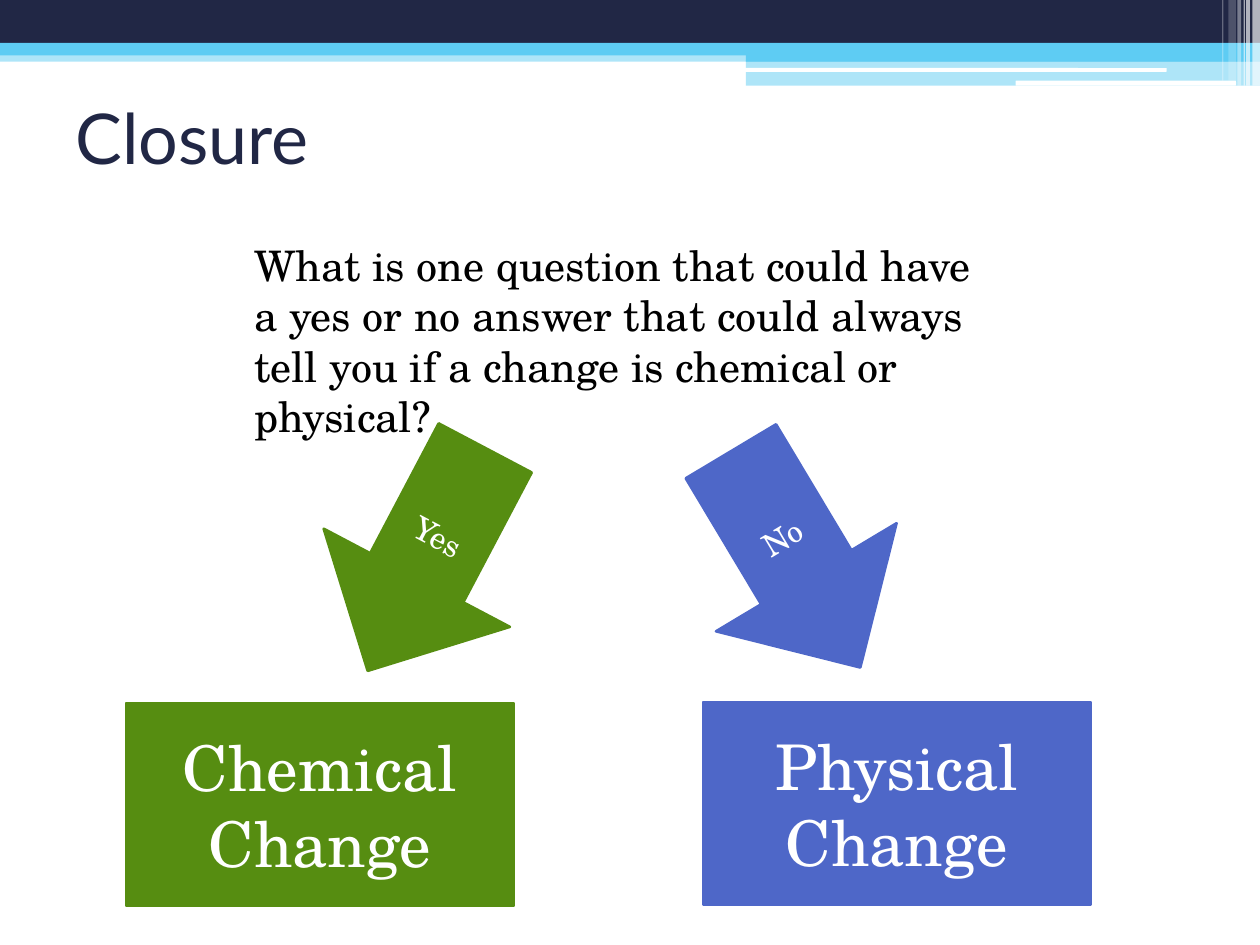
from lxml import etree
from pptx import Presentation
from pptx.dml.color import RGBColor
from pptx.enum.shapes import MSO_SHAPE
from pptx.enum.text import MSO_ANCHOR, PP_ALIGN
from pptx.oxml.ns import qn
from pptx.util import Inches, Pt

RECT = MSO_SHAPE.RECTANGLE
ROUND = MSO_SHAPE.ROUNDED_RECTANGLE
ARROW = MSO_SHAPE.DOWN_ARROW
MIDDLE, TOP = MSO_ANCHOR.MIDDLE, MSO_ANCHOR.TOP
LEFT, CENTER = PP_ALIGN.LEFT, PP_ALIGN.CENTER

COLS, ROWS = 10, 7.5
WIDTH, HEIGHT = Inches(COLS), Inches(ROWS)
SANS, SERIF = "Lato", "TeX Gyre Schola"
NAVY, SKY, WHITE, BLACK = "212745", "5ECCF3", "FFFFFF", "000000"
GREEN, BLUE = "568D11", "4E67C8"


def color(code):
    return RGBColor.from_string(code)


def grid(box):
    x, y, w, h = box
    return (round(WIDTH * x / COLS), round(HEIGHT * y / ROWS),
            round(WIDTH * w / COLS), round(HEIGHT * h / ROWS))


def within(box, x, y, w, h):
    return box[0] + x, box[1] + y, w, h


def write(shape, text, font=SERIF, size=24, ink=BLACK, align=LEFT, anchor=TOP):
    frame = shape.text_frame
    frame.word_wrap = True
    frame.vertical_anchor = anchor
    para = frame.paragraphs[0]
    para.alignment = align
    run = para.add_run()
    run.text = text
    run.font.name = font
    run.font.size = Pt(size)
    run.font.color.rgb = color(ink)


def draw(slide, kind, box, fill, alpha=100, line=0, turn=0):
    shape = slide.shapes.add_shape(kind, *grid(box))
    shape.shadow.inherit = False
    shape.rotation = turn
    shape.fill.solid()
    shape.fill.fore_color.rgb = color(fill)
    if alpha < 100:
        tint = shape.fill._xPr.find(qn("a:solidFill"))[0]
        etree.SubElement(tint, qn("a:alpha")).set("val", str(alpha * 1000))
    if line:
        shape.line.color.rgb = color(fill)
        shape.line.width = Pt(line)
    else:
        shape.line.fill.background()
    return shape


def banner(slide, box):
    wide, high = box[2:]
    half = 5.92
    bands = [
        (0, 0.4, wide, 0.09, SKY, 50),
        (0, 0, wide, 0.34, NAVY, 100),
        (0, 0.34, wide, 0.1, SKY, 100),
        (half, 0.39, wide - half, 0.1, SKY, 100),
        (half, 0.48, wide - half, 0.2, SKY, 50),
    ]
    for *part, fill, alpha in bands:
        draw(slide, RECT, within(box, *part), fill, alpha)
    for part in [(5.91, 0.54, 3.35, 0.03), (8.06, 0.64, 1.75, 0.04)]:
        draw(slide, ROUND, within(box, *part), WHITE)
    stripes = [
        (9.94, 0.06, high, 65), (9.89, 0.03, high, 65),
        (9.87, 0.01, high, 60), (9.82, 0.03, high, 40),
        (9.75, 0.06, 0.64, 20), (9.7, 0.01, 0.64, 30),
    ]
    for x, w, h, alpha in stripes:
        draw(slide, RECT, within(box, x, 0, w, h), WHITE, alpha)


def prose(slide, box, text, **style):
    write(slide.shapes.add_textbox(*grid(box)), text, **style)


def branch(slide, box, answer, result, fill, shift, turn):
    wide, high = box[2:]
    style = {"ink": WHITE, "align": CENTER, "anchor": MIDDLE}
    tall = 1.61
    card = draw(slide, RECT, within(box, 0, high - tall, wide, tall), fill, line=1.5)
    write(card, result, size=36, **style)
    arrow = draw(slide, ARROW, within(box, shift, 0, 1.67, 2), fill, line=1.5, turn=turn)
    write(arrow, answer, size=18, **style)


def main():
    deck = Presentation()
    deck.slide_width, deck.slide_height = WIDTH, HEIGHT
    slide = deck.slides.add_slide(deck.slide_layouts[6])
    banner(slide, (0, 0, COLS, 0.68))
    prose(slide, (0.5, 0.5, 9, 1.17), "Closure",
          font=SANS, size=40, ink=NAVY, anchor=MIDDLE)
    branch(slide, (1, 3.44, 3.08, 3.75), "Yes", "Chemical Change", GREEN, 1.55, 27.8)
    branch(slide, (5.58, 3.44, 3.08, 3.74), "No", "Physical Change", BLUE, -0.1, 329.1)
    prose(slide, (1.92, 1.85, 6.03, 1.31),
          "What is one question that could have a yes or no answer that could "
          "always tell you if a change is chemical or physical?")
    deck.save("out.pptx")


if __name__ == "__main__":
    main()
